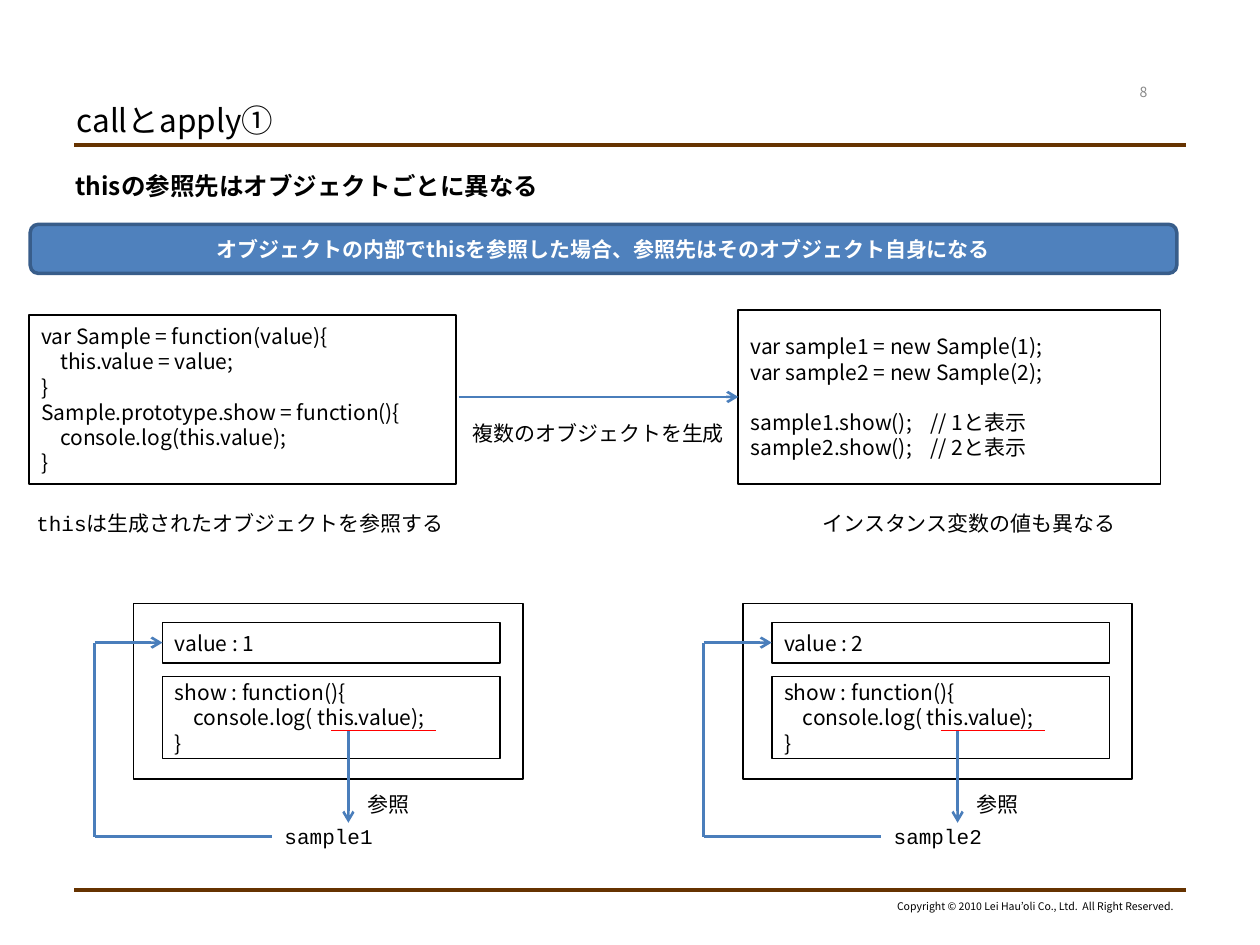
"""Build a slide on how this refers to each object in JavaScript."""
from lxml.etree import SubElement
from pptx import Presentation
from pptx.dml.color import RGBColor
from pptx.enum.shapes import MSO_CONNECTOR as CONN, MSO_SHAPE as SHAPE
from pptx.enum.text import MSO_ANCHOR as ANCHOR, PP_ALIGN as ALIGN
from pptx.oxml.ns import qn
from pptx.util import Inches, Pt

rgb = RGBColor.from_string
SANS, MONO = "Noto Sans CJK JP", "Courier New"
BLUE, BROWN = "4A7EBB", "663300"

prs = Presentation()
prs.slide_width, prs.slide_height = Inches(10), Inches(7.5)
COL, ROW = prs.slide_width / 100, prs.slide_height / 75
s = prs.slides.add_slide(prs.slide_layouts[6])


def box(text, x, y, w, h, shape=None, fill=None, edge="000000", width=1,
        font=SANS, size=12, color="000000", bold=False, align=ALIGN.LEFT,
        anchor=ANCHOR.MIDDLE, wrap=True, gaps=()):
    at = [int(v) for v in (x * COL, y * ROW, w * COL, h * ROW)]
    if shape is None:
        sp = s.shapes.add_textbox(*at)
    else:
        sp = s.shapes.add_shape(shape, *at)
        sp.shadow.inherit = False
        sp.line.color.rgb, sp.line.width = rgb(edge), Pt(width)
        if fill:
            sp.fill.solid()
            sp.fill.fore_color.rgb = rgb(fill)
        else:
            sp.fill.background()
    tf = sp.text_frame
    tf.word_wrap, tf.vertical_anchor = wrap, anchor
    for i, row in enumerate(text.split("\n") if text else []):
        p = tf.add_paragraph() if i else tf.paragraphs[0]
        p.alignment = align
        if i in gaps:
            p.space_before = Pt(size * 1.2)
        r = p.add_run()
        r.text = row
        r.font.name, r.font.size, r.font.bold = font, Pt(size), bold
        r.font.color.rgb = rgb(color)
        SubElement(r.font._element, qn("a:ea")).set("typeface", SANS)
    return sp


def line(x1, y1, x2, y2, color=BLUE, width=1.5, arrow=False, start=None, end=None):
    c = s.shapes.add_connector(CONN.STRAIGHT, int(x1 * COL), int(y1 * ROW),
                               int(x2 * COL), int(y2 * ROW))
    if start:
        c.begin_connect(*start)
    if end:
        c.end_connect(*end)
    c.line.color.rgb, c.line.width = rgb(color), Pt(width)
    if arrow:
        SubElement(c.line._get_or_add_ln(), qn("a:tailEnd")).set("type", "arrow")
    SubElement(c._element.spPr, qn("a:effectLst"))


for y in (11.5, 70.6):
    line(5.9, y, 94.1, y, BROWN, 2.25)
box("Copyright © 2010 Lei Hau’oli Co., Ltd.  All Right Reserved.",
    69.9, 70.9, 24.2, 2, size=6, align=ALIGN.RIGHT, anchor=ANCHOR.TOP, wrap=False)
box("callとapply①", 5.1, 7.6, 56.8, 3.9, size=18)
box("8", 87.8, 6.1, 5.9, 2.4, size=8, color="898989", align=ALIGN.CENTER)
box("thisの参照先はオブジェクトごとに異なる", 5, 13.1, 90, 4,
    size=14, bold=True, anchor=ANCHOR.TOP)
box("オブジェクトの内部でthisを参照した場合、参照先はそのオブジェクト自身になる",
    2.4, 17.8, 91, 3.9, SHAPE.ROUNDED_RECTANGLE, "4F81BD", "385D8A", 2,
    color="FFFFFF", bold=True, align=ALIGN.CENTER)

box("""var Sample = function(value){
    this.value = value;
}
Sample.prototype.show = function(){
    console.log(this.value);
}""", 2.3, 25, 33.9, 13.4, SHAPE.RECTANGLE)
usage = box("""var sample1 = new Sample(1);
var sample2 = new Sample(2);
sample1.show();    // 1と表示
sample2.show();    // 2と表示""", 58.6, 24.6, 33.5, 13.8, SHAPE.RECTANGLE, gaps=(2,))
line(36.4, 31.5, 58.6, 31.5, arrow=True, end=(usage, 1))
for label, x, y, w in (("thisは生成されたオブジェクトを参照する", 1.9, 40, 34.7),
                       ("複数のオブジェクトを生成", 36.5, 32.9, 22),
                       ("インスタンス変数の値も異なる", 64.3, 40, 25.3)):
    box(label, x, y, w, 3, font=MONO, anchor=ANCHOR.TOP, wrap=False)

for n, x in enumerate((7.5, 55.85), 1):
    box("", x + 3.1, 47.9, 30.9, 13.9, SHAPE.RECTANGLE)
    value = box(f"value : {n}", x + 5.4, 49.4, 26.8, 3.2, SHAPE.RECTANGLE)
    box("show : function(){\n    console.log( this.value);\n}",
        x + 5.4, 53.7, 26.8, 6.5, SHAPE.RECTANGLE)
    line(x + 20.15, 58, x + 20.15, 65.3, arrow=True)
    box("参照", x + 20.7, 62.3, 5.6, 3, font=MONO, anchor=ANCHOR.TOP)
    name = box(f"sample{n}", x + 14.1, 64.9, 9.4, 3, font=MONO, anchor=ANCHOR.TOP)
    line(x + 18.8, 58, x + 27.1, 58, "FF0000", 0.75)
    line(x, 51, x + 5.4, 51, arrow=True, end=(value, 1))
    line(x, 66.4, x + 14.1, 66.4, end=(name, 1))
    line(x, 51, x, 66.4)

prs.save("out.pptx")
